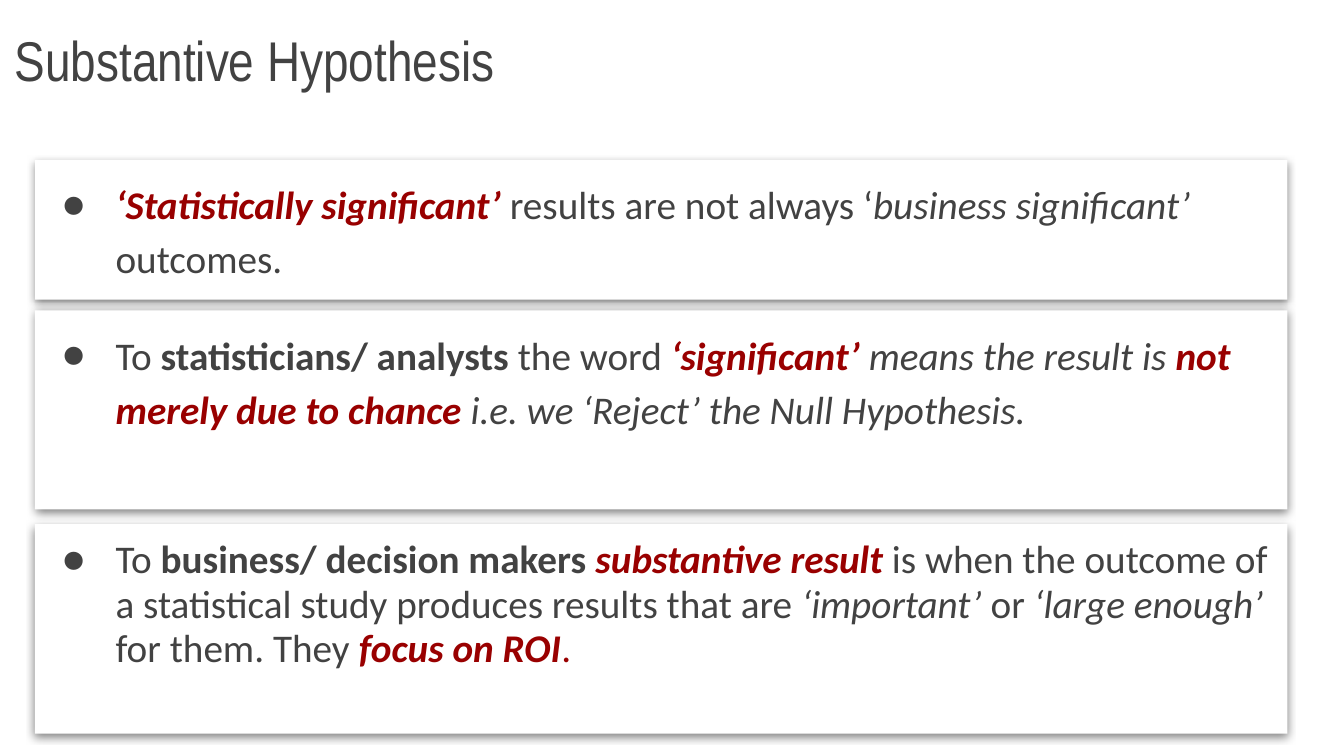
"""Build the Substantive Hypothesis slide with three shadowed bullet cards."""
from pptx import Presentation
from pptx.dml.color import RGBColor
from pptx.enum import text
from pptx.oxml import parse_xml
from pptx.oxml.ns import nsdecls
from pptx.util import Inches, Pt

THEME = {"ink": "424242", "red": "990000", "deep": "980000", "card": "FFFFFF",
         "head": ("Arial Narrow", 30), "body": ("Calibri", 21)}
STYLES = {"plain": ("ink", False, False), "bold": ("ink", True, False),
          "slant": ("ink", False, True), "key": ("red", True, True),
          "lead": ("deep", True, True), "dot": ("red", False, False)}
TITLE = "Substantive Hypothesis"
CARDS = [
    {"top": 1.19, "high": 1.04, "space": 1.15, "runs": [
        ("‘Statistically significant’", "lead"),
        (" results are not always ‘", "plain"),
        ("business significant’", "slant"),
        (" outcomes.", "plain")]},
    {"top": 2.31, "high": 1.48, "space": 1.15, "runs": [
        ("To ", "plain"), ("statisticians/ analysts", "bold"),
        (" the word ", "plain"), ("‘significant’ ", "key"),
        ("means the result is ", "slant"),
        ("not merely due to chance ", "key"),
        ("i.e. we ‘Reject’ the Null Hypothesis.", "slant")]},
    {"top": 3.9, "high": 1.56, "space": 0.95, "runs": [
        ("To ", "plain"), ("business/ decision makers ", "bold"),
        ("substantive result", "key"),
        (" is when the outcome of a statistical study produces results that are ", "plain"),
        ("‘important’", "slant"), (" or ", "plain"),
        ("‘large enough’", "slant"), (" for them. They ", "plain"),
        ("focus on ROI", "key"), (".", "dot")]},
]
LEFT, WIDE, PAD = 0.26, 9.32, 0.1
SPACE = nsdecls("a")
SHADOW = f"""<a:effectLst {SPACE}>
<a:outerShdw blurRad="{Pt(4.5)}" dist="{Pt(1.5)}" dir="5400000" algn="t" rotWithShape="0">
<a:srgbClr val="000000"><a:alpha val="50000"/></a:srgbClr>
</a:outerShdw></a:effectLst>"""
BULLET = (f'<a:buClr {SPACE}><a:srgbClr val="{THEME["ink"]}"/></a:buClr>',
          f'<a:buFont {SPACE} typeface="{THEME["body"][0]}"/>',
          f'<a:buChar {SPACE} char="●"/>')


def place(shape, left, top, wide, high, anchor):
    """Move a placeholder and return its text frame."""
    shape.left, shape.top = Inches(left), Inches(top)
    shape.width, shape.height = Inches(wide), Inches(high)
    frame = shape.text_frame
    frame.auto_size = text.MSO_AUTO_SIZE.NONE
    frame.word_wrap = True
    frame.vertical_anchor = anchor
    frame.margin_left = frame.margin_right = Inches(PAD)
    frame.margin_top = frame.margin_bottom = Inches(PAD)
    return frame


def write(para, words, style, face):
    """Add one styled run."""
    tone, bold, slant = STYLES[style]
    run = para.add_run()
    run.text = words
    font = run.font
    font.name, size = THEME[face]
    font.size = Pt(size)
    font.bold, font.italic = bold, slant
    font.color.rgb = RGBColor.from_string(THEME[tone])


def bullet(para):
    """Give a paragraph a hanging round bullet."""
    props = para._p.get_or_add_pPr()
    props.set("marL", str(Inches(0.5)))
    props.set("indent", str(Inches(-0.4)))
    for part in BULLET:
        props.append(parse_xml(part))


def card(shape, data):
    """Format one body placeholder as a card."""
    frame = place(shape, LEFT, data["top"], WIDE, data["high"], text.MSO_ANCHOR.TOP)
    shape.fill.solid()
    shape.fill.fore_color.rgb = RGBColor.from_string(THEME["card"])
    shape.line.fill.background()
    shape._element.spPr.append(parse_xml(SHADOW))
    para = frame.paragraphs[0]
    bullet(para)
    para.alignment = text.PP_ALIGN.LEFT
    para.line_spacing = data["space"]
    para.space_before = para.space_after = Pt(0)
    for words, style in data["runs"]:
        write(para, words, style, "body")


def main():
    """Create and save the slide."""
    deck = Presentation()
    deck.slide_width = Inches(10)
    deck.slide_height = deck.slide_width * 9 // 16
    slide = deck.slides.add_slide(deck.slide_layouts.get_by_name("Comparison"))
    title, *bodies = slide.placeholders
    frame = place(title, 0.01, -0.01, WIDE, 0.8, text.MSO_ANCHOR.BOTTOM)
    para = frame.paragraphs[0]
    para.alignment = text.PP_ALIGN.LEFT
    write(para, TITLE, "plain", "head")
    for shape, data in zip(bodies, CARDS):
        card(shape, data)
    for spare in bodies[len(CARDS):]:
        spare._element.getparent().remove(spare._element)
    deck.save("out.pptx")


if __name__ == "__main__":
    main()
